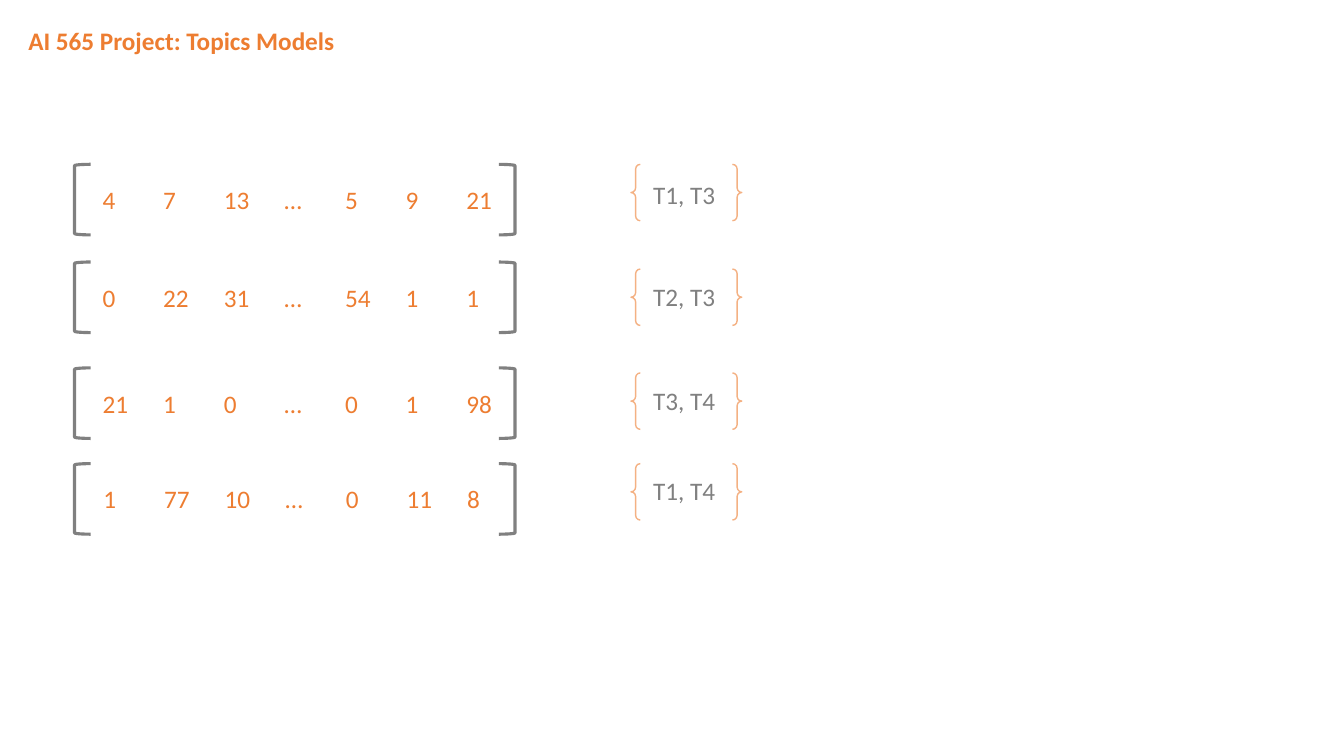
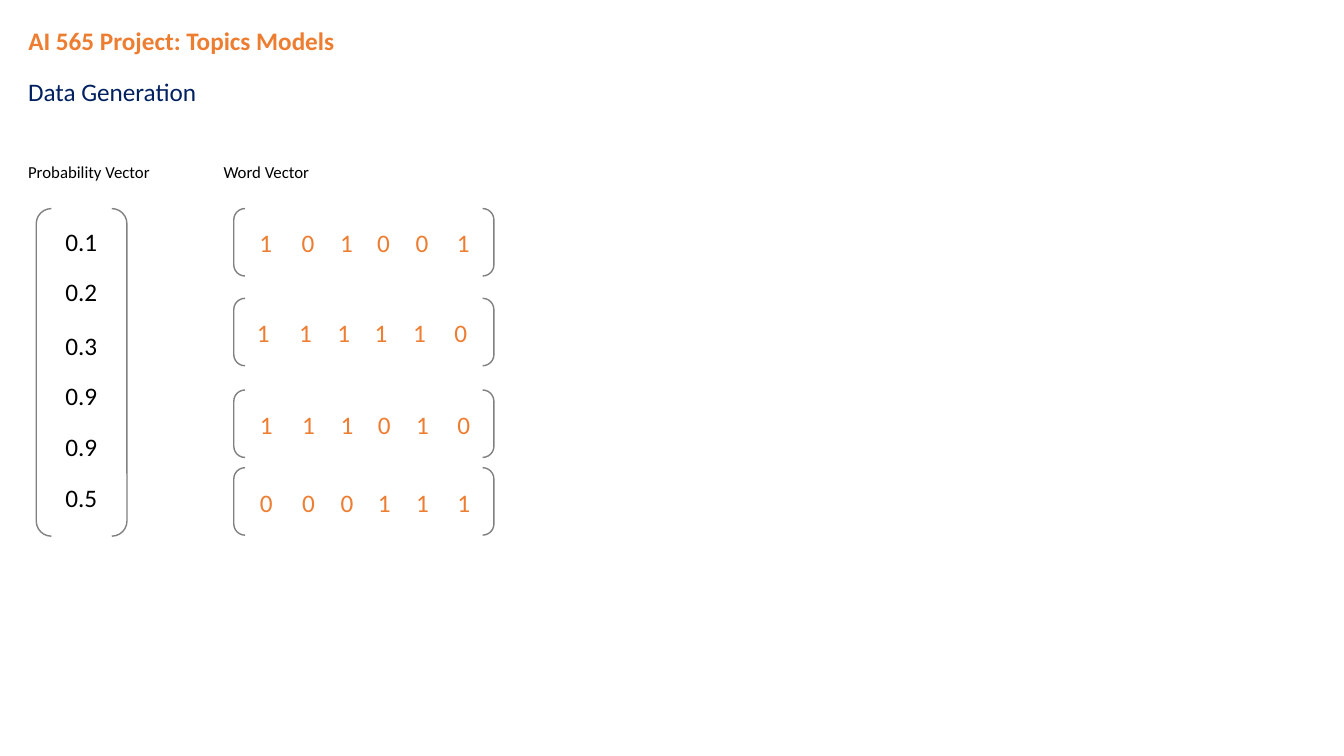
"""Build two slides on topic models: count vectors with topics, and data generation."""
import dataclasses

import pptx
import pptx.dml.color
import pptx.enum.shapes
import pptx.enum.text
import pptx.util

Pt = pptx.util.Pt
Preset = pptx.enum.shapes.MSO_SHAPE


@dataclasses.dataclass(frozen=True)
class Theme:
    """Hold the shared colours, font, type sizes and line widths."""
    accent: str = "ED7D31"
    brace: str = "F4B183"
    grey: str = "808080"
    navy: str = "002060"
    black: str = "000000"
    font: str = "Calibri"
    body: int = 18
    caption: int = 12
    thin: float = 1
    thick: float = 2.25


THEME = Theme()
SLIDE_SIZE = (960, 540)
TITLE = "AI 565 Project: Topics Models"
MARGIN = 13
LINE_HEIGHT = 28.8

COUNT_VECTORS = [
    (117.4, 66.2, ["4", "7", "13", "…", "5", "9", "21"]),
    (187.2, 66.2, ["0", "22", "31", "…", "54", "1", "1"]),
    (262.8, 66.2, ["21", "1", "0", "…", "0", "1", "98"]),
    (331.2, 66.8, ["1", "77", "10", "…", "0", "11", "8"]),
]
COUNT_STEP = 43.3
TOPIC_SETS = [
    (117.4, 124.6, "T1, T3"),
    (192.2, 197.3, "T2, T3"),
    (266.4, 271.4, "T3, T4"),
    (331.2, 336.2, "T1, T4"),
]

SUBTITLE = "Data Generation"
CAPTIONS = [(MARGIN, "Probability Vector"), (152.6, "Word Vector")]
PROBABILITIES = [
    (158.4, "0.1"), (193.7, "0.2"), (232.6, "0.3"),
    (267.8, "0.9"), (304.6, "0.9"), (341.3, "0.5"),
]
WORD_COLUMNS = [178.6, 208.8, 236.2, 262.8, 290.2, 319.7]
WORD_VECTORS = [
    (149, -0.4, "101001"),
    (213.1, -2.2, "111110"),
    (278.6, 0, "111010"),
    (334.1, 0, "000111"),
]


def write(shape, text, *, color=THEME.black, size=THEME.body, bold=False):
    """Put formatted, left-aligned text into a shape."""
    frame = shape.text_frame
    frame.text = text
    frame.word_wrap = True
    frame.auto_size = pptx.enum.text.MSO_AUTO_SIZE.SHAPE_TO_FIT_TEXT
    frame.vertical_anchor = pptx.enum.text.MSO_ANCHOR.TOP
    paragraph = frame.paragraphs[0]
    paragraph.alignment = pptx.enum.text.PP_ALIGN.LEFT
    font = paragraph.runs[0].font
    font.name, font.size, font.bold = THEME.font, Pt(size), bold
    font.color.rgb = pptx.dml.color.RGBColor.from_string(color)


def add_text(slide, text, left, top, width, height=LINE_HEIGHT, **style):
    """Add a text box."""
    write(slide.shapes.add_textbox(Pt(left), Pt(top), Pt(width), Pt(height)), text, **style)


def add_outline(slide, preset, left, top, width, height, color=THEME.grey, weight=THEME.thin):
    """Add an unfilled bracket or brace."""
    outline = slide.shapes.add_shape(preset, Pt(left), Pt(top), Pt(width), Pt(height))
    outline.shadow.inherit = False
    outline.fill.background()
    outline.line.color.rgb = pptx.dml.color.RGBColor.from_string(color)
    outline.line.width = Pt(weight)


def add_titled_slide(deck):
    """Add a slide with the shared title."""
    slide = deck.slides.add_slide(deck.slide_layouts[5])
    title = slide.shapes.title
    title.left, title.top = Pt(MARGIN), Pt(14.4)
    title.width, title.height = Pt(356.4), Pt(LINE_HEIGHT)
    write(title, TITLE, color=THEME.accent, bold=True)
    return slide


def build_topic_slide(deck):
    """Show the count vectors beside their topic sets."""
    slide = add_titled_slide(deck)
    for top, first, counts in COUNT_VECTORS:
        for preset, left in ((Preset.LEFT_BRACKET, 53.3), (Preset.RIGHT_BRACKET, 356.4)):
            add_outline(slide, preset, left, top, 11.5, 50.4, weight=THEME.thick)
        for column, count in enumerate(counts):
            add_text(slide, count, first + column * COUNT_STEP, top + 10.8, 41.8,
                     color=THEME.accent)
    for brace_top, label_top, topics in TOPIC_SETS:
        add_outline(slide, Preset.DOUBLE_BRACE, 450.7, brace_top, 79.2, 40.3, THEME.brace)
        add_text(slide, topics, 459.4, label_top, 133.9, color=THEME.grey)


def build_generation_slide(deck):
    """Show the probability vector beside the word vectors."""
    slide = add_titled_slide(deck)
    add_text(slide, SUBTITLE, MARGIN, 51.1, 275, color=THEME.navy)
    for left, caption in CAPTIONS:
        add_text(slide, caption, left, 112.3, 115.2, 21.6, size=THEME.caption)
    add_outline(slide, Preset.DOUBLE_BRACKET, 25.9, 149, 64.8, 234)
    for top, probability in PROBABILITIES:
        add_text(slide, probability, 39.6, top, 51.1)
    for top, shift, words in WORD_VECTORS:
        add_outline(slide, Preset.DOUBLE_BRACKET, 167, top, 185.8, 48.2)
        for left, word in zip(WORD_COLUMNS, words):
            add_text(slide, word, left + shift, top + 10.1, 24.5, color=THEME.accent)


def main():
    """Build and save the deck."""
    deck = pptx.Presentation()
    deck.slide_width, deck.slide_height = map(Pt, SLIDE_SIZE)
    build_topic_slide(deck)
    build_generation_slide(deck)
    deck.save("out.pptx")


if __name__ == "__main__":
    main()
